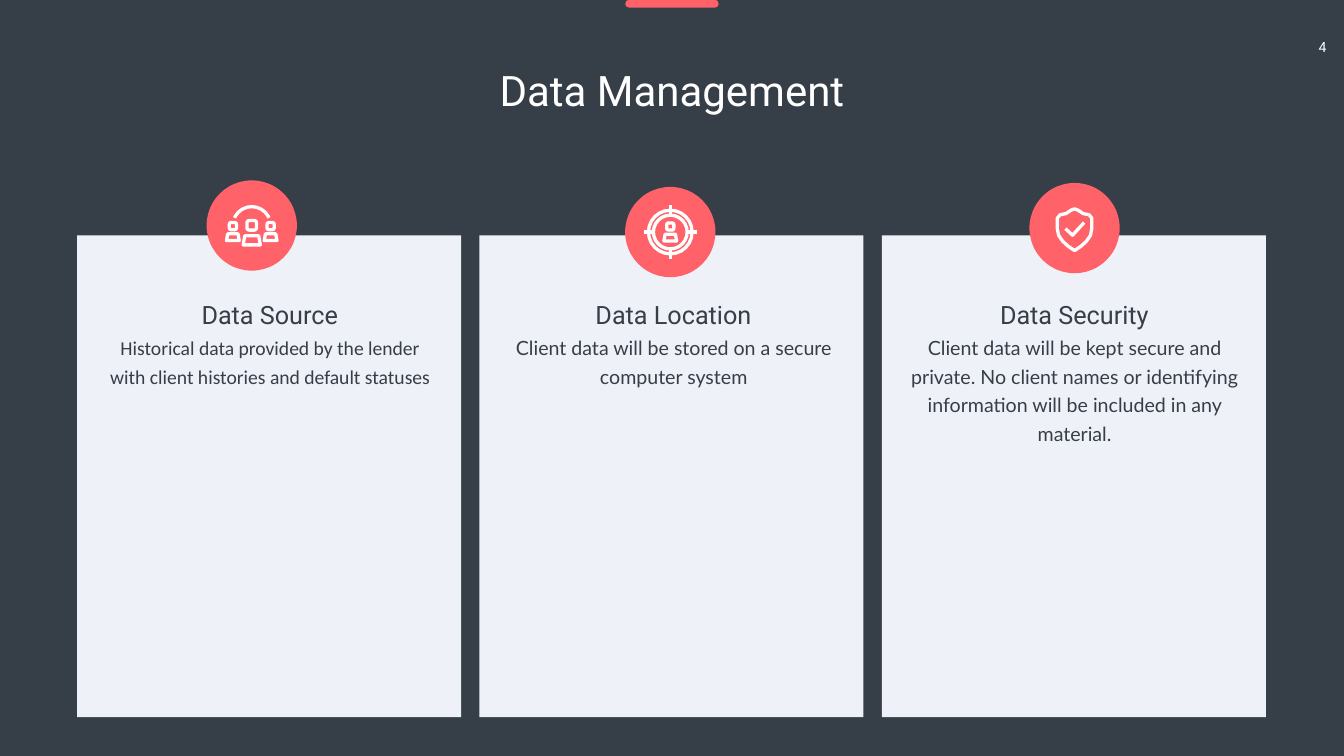
from pptx import Presentation
from pptx.dml.color import RGBColor
from pptx.enum.shapes import MSO_CONNECTOR, MSO_SHAPE
from pptx.enum.text import MSO_AUTO_SIZE, PP_ALIGN
from pptx.oxml.ns import qn
from pptx.util import Cm, Pt
from lxml.etree import SubElement

DARK, CORAL, PALE, WHITE = "363E48", "FF6269", "EFF1F8", "FFFFFF"
STROKE = 4.7


def colour(hex_value):
    return RGBColor.from_string(hex_value)


def paint(shape, fill=None, line=None):
    shape.shadow.inherit = False
    if fill:
        shape.fill.solid()
        shape.fill.fore_color.rgb = colour(fill)
    else:
        shape.fill.background()
    if line:
        shape.line.color.rgb = colour(line)
        shape.line.width = Pt(STROKE)
    else:
        shape.line.fill.background()


def add_preset(slide, kind, box, adjustments=(), **style):
    shape = slide.shapes.add_shape(kind, *map(Cm, box))
    for index, value in enumerate(adjustments):
        shape.adjustments[index] = value
    paint(shape, **style)


def add_centred(slide, kind, x, y, size, adjustments=()):
    box = (x - size / 2, y - size / 2, size, size)
    add_preset(slide, kind, box, adjustments, line=WHITE)


def add_outline(slide, x, y, points, close=True):
    corners = [(Cm(x + dx), Cm(y + dy)) for dx, dy in points]
    builder = slide.shapes.build_freeform(*corners[0])
    builder.add_line_segments(corners[1:], close=close)
    paint(builder.convert_to_shape(), line=WHITE)


def add_text(slide, text, box, size, font="Roboto", ink=DARK, spacing=None, wrap=True):
    frame = slide.shapes.add_textbox(*map(Cm, box)).text_frame
    frame.word_wrap = wrap
    frame.auto_size = MSO_AUTO_SIZE.SHAPE_TO_FIT_TEXT
    paragraph = frame.paragraphs[0]
    paragraph.alignment = PP_ALIGN.CENTER
    if spacing:
        paragraph.line_spacing = Pt(spacing)
    run = paragraph.add_run()
    run.text = text
    run.font.size = Pt(size)
    run.font.name = font
    run.font.color.rgb = colour(ink)


def draw_person(slide, x, y, scale=1):
    add_centred(slide, MSO_SHAPE.ROUNDED_RECTANGLE, x, y, 0.36 * scale, [0.25])
    torso = [(-0.26, 0.39), (0.26, 0.39), (0.32, 0.73), (-0.32, 0.73)]
    add_outline(slide, x, y, [(dx * scale, dy * scale) for dx, dy in torso])


def draw_people(slide, x, y):
    draw_person(slide, x, y - 0.01, 1.35)
    for side in (-0.95, 0.95):
        draw_person(slide, x + side, y + 0.03)
    start_angle, end_angle = 204, 336
    add_centred(slide, MSO_SHAPE.ARC, x, y, 1.9, [start_angle * 0.6, end_angle * 0.6])


def draw_target(slide, x, y):
    for diameter in (2.2, 1.7):
        add_centred(slide, MSO_SHAPE.OVAL, x, y, diameter)
    inner, outer = 0.9, 1.34
    for dx, dy in ((1, 0), (0, 1), (-1, 0), (0, -1)):
        ends = (x + dx * inner, y + dy * inner, x + dx * outer, y + dy * outer)
        spoke = slide.shapes.add_connector(MSO_CONNECTOR.STRAIGHT, *map(Cm, ends))
        spoke.line.color.rgb = colour(WHITE)
        spoke.line.width = Pt(STROKE)
        SubElement(spoke._element.spPr, qn("a:effectLst"))
    draw_person(slide, x, y - 0.28)


def draw_shield(slide, x, y):
    right = [(0, -0.97), (0.18, -0.9), (0.43, -0.73), (0.73, -0.67), (0.87, -0.5),
             (0.87, 0.04), (0.8, 0.37), (0.6, 0.66), (0.33, 0.91), (0, 1.13)]
    left = [(-dx, dy) for dx, dy in right[-2:0:-1]]
    add_outline(slide, x, y, right + left)
    add_outline(slide, x, y, [(-0.46, 0.03), (-0.1, 0.36), (0.48, -0.28)], close=False)


def draw_header(slide, left, top, width):
    bar_width = 4.7
    add_preset(slide, MSO_SHAPE.ROUNDED_RECTANGLE,
               (left + (width - bar_width) / 2, top, bar_width, 0.38), [0.5], fill=CORAL)
    add_text(slide, "Data Management", (left + 22.81, top + 3.15, 22.1, 2.82), 60, ink=WHITE)
    add_text(slide, "4", (left + 65.49, top + 1.83, 2.31, 1.37), 20, ink=WHITE, wrap=False)


def draw_card(slide, left, top, width, height, heading, body, font,
              badge_offset, text_inset, draw_icon):
    add_preset(slide, MSO_SHAPE.RECTANGLE, (left, top, width, height), fill=PALE)
    text_left = left + text_inset
    add_text(slide, body, (text_left, top + 4.7, 17.25, 3.07), 28, font=font, spacing=40.8)
    add_text(slide, heading, (text_left + 4.22, top + 3.1, 8.79, 1.8), 36)
    diameter = 4.55
    badge_left, badge_top = left + badge_offset[0], top + badge_offset[1]
    add_preset(slide, MSO_SHAPE.OVAL, (badge_left, badge_top, diameter, diameter), fill=CORAL)
    draw_icon(slide, badge_left + diameter / 2, badge_top + diameter / 2)


CARDS = [
    ("Data Source",
     "Historical data provided by the lender with client histories and default statuses",
     "Calibri", (6.52, -2.77), 1.09, draw_people),
    ("Data Location",
     "Client data will be stored on a secure computer system",
     "Lato", (7.34, -2.44), 1.16, draw_target),
    ("Data Security",
     "Client data will be kept secure and private. No client names or identifying "
     "information will be included in any material.",
     "Lato", (7.44, -2.64), 1.09, draw_shield),
]


def main():
    deck = Presentation()
    deck.slide_width, deck.slide_height = Cm(67.72), Cm(38.1)
    slide = deck.slides.add_slide(deck.slide_layouts[6])
    slide.background.fill.solid()
    slide.background.fill.fore_color.rgb = colour(DARK)
    draw_header(slide, 0, 0, 67.72)
    card_width, gap = 19.35, 0.92
    for column, card in enumerate(CARDS):
        draw_card(slide, 3.89 + column * (card_width + gap), 11.86, card_width, 24.28, *card)
    deck.save("out.pptx")


if __name__ == "__main__":
    main()
